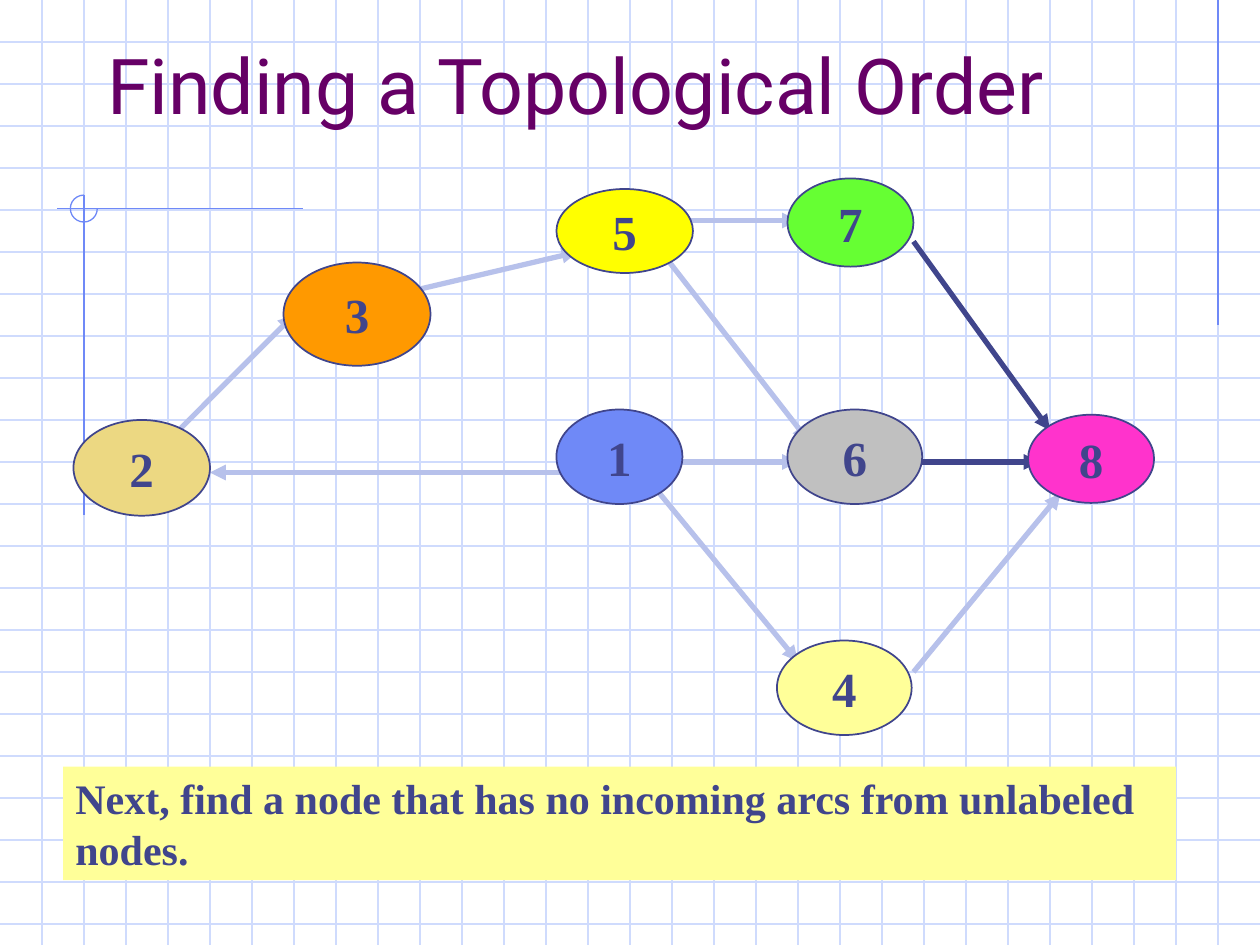
from lxml.etree import SubElement
from pptx import Presentation
from pptx.dml.color import RGBColor
from pptx.enum.shapes import MSO_CONNECTOR, MSO_SHAPE
from pptx.enum.text import MSO_ANCHOR, PP_ALIGN
from pptx.oxml.ns import qn
from pptx.util import Pt

WIDTH, HEIGHT, GRID_STEP = 720, 540, 24
GRID, GUIDE, INK, LABELED_ARC = "CFDBFD", "6F89F7", "40458C", "B7C1EB"
NODE_FONT = {"name": "Times New Roman", "size": Pt(28), "bold": True}
NOTE_FONT = {"name": "Times New Roman", "size": Pt(24), "bold": True}
TITLE_FONT = {"name": "Roboto", "size": Pt(44), "bold": False}

# label: (left, top, width, height, fill)
NODES = {
    "1": (318, 234, 72, 54, "6F89F7"),
    "2": (42, 240, 78, 54.72, "ECD882"),
    "3": (162, 150, 84, 59, "FF9900"),
    "4": (444, 366, 77, 54, "FFFF99"),
    "5": (318, 108, 78, 48, "FFFF00"),
    "6": (450, 234, 77, 54, "C0C0C0"),
    "7": (450, 102, 72, 50.4, "66FF33"),
    "8": (587.5, 237, 72, 50.4, "FF33CC"),
}
# start x, start y, end x, end y, colour
ARCS = [
    (384, 264, 456, 264, LABELED_ARC),
    (102, 246, 168, 180, LABELED_ARC),
    (522, 264, 594, 264, INK),
    (228, 168, 330, 144, LABELED_ARC),
    (390, 126, 456, 126, LABELED_ARC),
    (378, 144, 462, 252, LABELED_ARC),
    (372, 276, 456, 378, LABELED_ARC),
    (522, 138, 600, 246, INK),
    (522, 384, 606, 282, LABELED_ARC),
    (324, 270, 120, 270, LABELED_ARC),
]


def color(value):
    return RGBColor.from_string(value)


def add_line(slide, start_x, start_y, end_x, end_y, line_color, width=0.75):
    line = slide.shapes.add_connector(
        MSO_CONNECTOR.STRAIGHT, Pt(start_x), Pt(start_y), Pt(end_x), Pt(end_y))
    line.line.color.rgb = color(line_color)
    line.line.width = Pt(width)
    SubElement(line._element.spPr, qn("a:effectLst"))
    return line


def add_arc(slide, *ends_and_color):
    arc = add_line(slide, *ends_and_color, width=3)
    SubElement(arc.line._get_or_add_ln(), qn("a:tailEnd"), type="triangle")


def add_figure(slide, kind, left, top, width, height, fill=None, line=None, line_width=1):
    shape = slide.shapes.add_shape(kind, Pt(left), Pt(top), Pt(width), Pt(height))
    shape.shadow.inherit = False
    if fill:
        shape.fill.solid()
        shape.fill.fore_color.rgb = color(fill)
    else:
        shape.fill.background()
    if line:
        shape.line.color.rgb = color(line)
        shape.line.width = Pt(line_width)
    else:
        shape.line.fill.background()
    return shape


def write_text(shape, text, font, text_color, alignment, anchor, wrap=True):
    frame = shape.text_frame
    frame.text = text
    frame.word_wrap = wrap
    frame.vertical_anchor = anchor
    paragraph = frame.paragraphs[0]
    paragraph.alignment = alignment
    run_font = paragraph.runs[0].font
    for name, value in font.items():
        setattr(run_font, name, value)
    run_font.color.rgb = color(text_color)
    return paragraph


def add_background(slide):
    """Graph paper with the guide lines and the three-quarter circle."""
    for y in range(GRID_STEP, HEIGHT, GRID_STEP):
        add_line(slide, 0, y, WIDTH, y, GRID)
    for x in range(GRID_STEP, WIDTH, GRID_STEP):
        add_line(slide, x, 0, x, HEIGHT, GRID)
    add_line(slide, 696, 0, 696, 186, GUIDE)
    add_line(slide, 173, 119.3, 32.5, 119.3, GUIDE)
    add_line(slide, 48, 111.5, 48, 294.5, GUIDE)
    circle = add_figure(slide, MSO_SHAPE.ARC, 40.2, 111.5, 15.4, 15.4,
                        line=GUIDE, line_width=0.75)
    circle.adjustments[0] = 0
    circle.adjustments[1] = 162  # 270 degrees


def add_title(slide):
    title = slide.shapes.title
    box = {"left": 54, "top": 30, "width": 612, "height": 48}
    for name, value in box.items():
        setattr(title, name, Pt(value))
    write_text(title, "Finding a Topological Order", TITLE_FONT, "660066",
               PP_ALIGN.LEFT, MSO_ANCHOR.BOTTOM)
    slide.shapes._spTree.append(title._element)  # in front of the grid


def add_note(slide):
    note = add_figure(slide, MSO_SHAPE.RECTANGLE, 36, 438, 636, 65, "FFFF99")
    paragraph = write_text(
        note, "Next, find a node that has no incoming arcs from unlabeled nodes.",
        NOTE_FONT, INK, PP_ALIGN.LEFT, MSO_ANCHOR.TOP)
    paragraph.space_before = Pt(15)


def add_node(slide, label, left, top, width, height, fill):
    node = add_figure(slide, MSO_SHAPE.OVAL, left, top, width, height, fill, INK)
    write_text(node, label, NODE_FONT, INK, PP_ALIGN.CENTER, MSO_ANCHOR.MIDDLE, wrap=False)


def main():
    presentation = Presentation()
    presentation.slide_width, presentation.slide_height = Pt(WIDTH), Pt(HEIGHT)
    slide = presentation.slides.add_slide(presentation.slide_layouts[5])
    add_background(slide)
    for arc in ARCS:
        add_arc(slide, *arc)
    add_title(slide)
    add_note(slide)
    for label, node in NODES.items():
        add_node(slide, label, *node)
    presentation.save("out.pptx")


if __name__ == "__main__":
    main()
